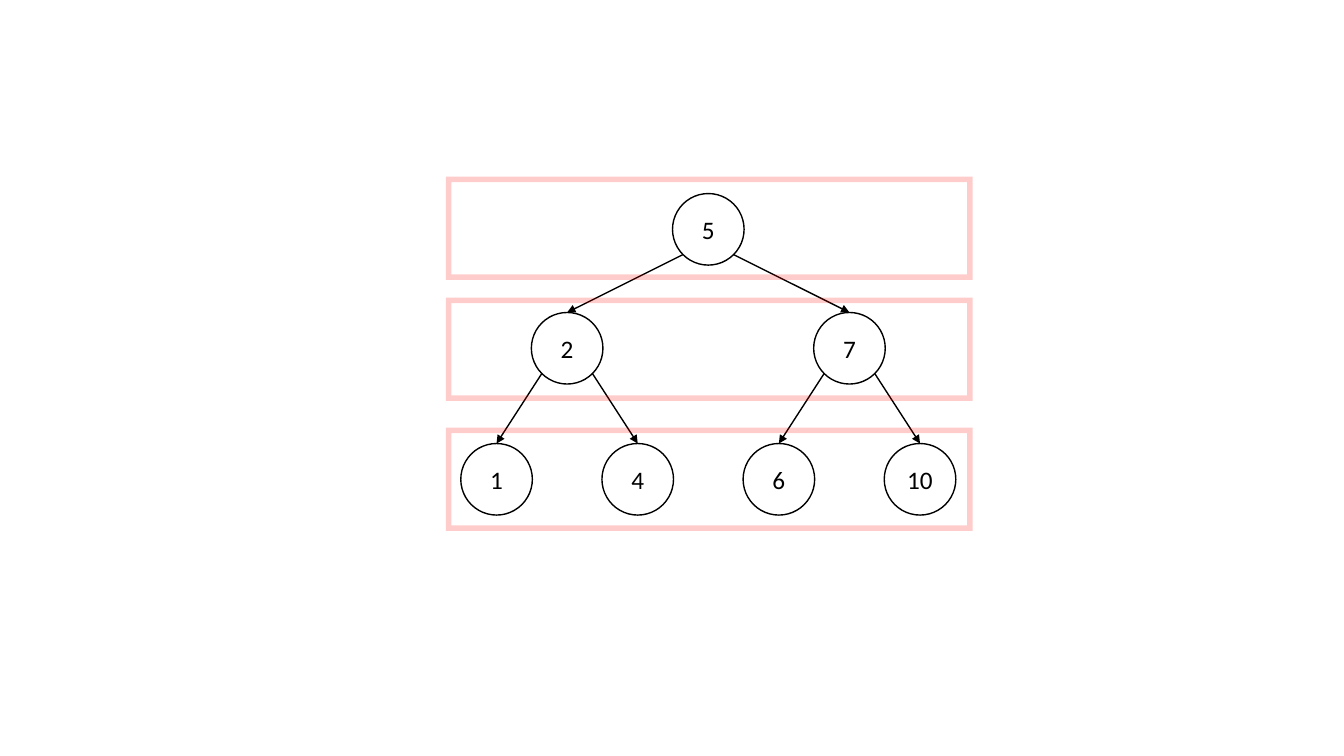
from dataclasses import dataclass
from math import sqrt

from lxml import etree
from pptx import Presentation
from pptx.dml.color import RGBColor
from pptx.enum.shapes import MSO_CONNECTOR, MSO_SHAPE
from pptx.enum.text import MSO_ANCHOR, PP_ALIGN
from pptx.oxml.ns import qn
from pptx.util import Pt

OVAL, RECT = MSO_SHAPE.OVAL, MSO_SHAPE.RECTANGLE
STRAIGHT = MSO_CONNECTOR.STRAIGHT
MIDDLE, CENTER = MSO_ANCHOR.MIDDLE, PP_ALIGN.CENTER

PX = 9144  # EMU, 100 px to the inch
WIDTH, HEIGHT = 1333, 750
SIZE = 71
LEFT, STEP = 457, 140
BAND_X, BAND_W, BAND_H = 445, 517, 97
# node top, band top, keys
LEVELS = [
    (192, 178, ["5"]),
    (310, 298, ["2", "7"]),
    (440, 427, ["1", "4", "6", "10"]),
]
TOP = 0


@dataclass(frozen=True)
class Theme:
    ink: RGBColor = RGBColor(0, 0, 0)
    paper: RGBColor = RGBColor(255, 255, 255)
    band: RGBColor = RGBColor(255, 0, 0)
    alpha: int = 20
    font: str = "Calibri"
    text: Pt = Pt(18)
    thin: Pt = Pt(1)
    thick: Pt = Pt(4)


THEME = Theme()


def add_form(slide, kind, x, y, w, h, color, weight):
    form = slide.shapes.add_shape(kind, x * PX, y * PX, w * PX, h * PX)
    form.shadow.inherit = False
    form.line.color.rgb = color
    form.line.width = weight
    return form


def add_node(slide, x, y, key):
    node = add_form(slide, OVAL, x, y, SIZE, SIZE, THEME.ink, THEME.thin)
    node.fill.solid()
    node.fill.fore_color.rgb = THEME.paper
    frame = node.text_frame
    frame.word_wrap = False
    frame.vertical_anchor = MIDDLE
    para = frame.paragraphs[0]
    para.text = key
    para.alignment = CENTER
    para.font.name = THEME.font
    para.font.size = THEME.text
    para.font.color.rgb = THEME.ink
    return node


def add_edge(slide, parent, child, side):
    """Run an arrow from the parent's lower left (-1) or right (1) to the child's top."""
    half = parent.width / 2
    reach = half / sqrt(2)
    x = round(parent.left + half + side * reach)
    y = round(parent.top + half + reach)
    edge = slide.shapes.add_connector(STRAIGHT, x, y, x, y)
    edge.end_connect(child, TOP)
    edge.line.color.rgb = THEME.ink
    edge.line.width = THEME.thin
    etree.SubElement(edge.line._get_or_add_ln(), qn("a:tailEnd"), type="triangle")
    etree.SubElement(edge._element.spPr, qn("a:effectLst"))


def add_band(slide, y):
    band = add_form(slide, RECT, BAND_X, y, BAND_W, BAND_H, THEME.band, THEME.thick)
    band.fill.background()
    line = band.line._get_or_add_ln()
    color = line.find(".//" + qn("a:srgbClr"))
    etree.SubElement(color, qn("a:alpha"), val=str(THEME.alpha * 1000))
    etree.SubElement(line, qn("a:miter"), lim="800000")


def add_level(slide, depth, y, keys):
    """Centre each node over the leaves below it."""
    span = 2 ** (len(LEVELS) - 1 - depth)
    first = LEFT + STEP * (span - 1) // 2
    return [add_node(slide, first + i * span * STEP, y, key)
            for i, key in enumerate(keys)]


def main():
    deck = Presentation()
    deck.slide_width, deck.slide_height = WIDTH * PX, HEIGHT * PX
    slide = deck.slides.add_slide(deck.slide_layouts[6])
    rows = [add_level(slide, depth, y, keys)
            for depth, (y, _, keys) in enumerate(LEVELS)]
    for upper, lower in zip(rows, rows[1:]):
        for i, child in enumerate(lower):
            add_edge(slide, upper[i // 2], child, 1 if i % 2 else -1)
    for _, y, _ in reversed(LEVELS):
        add_band(slide, y)
    deck.save("out.pptx")


if __name__ == "__main__":
    main()
